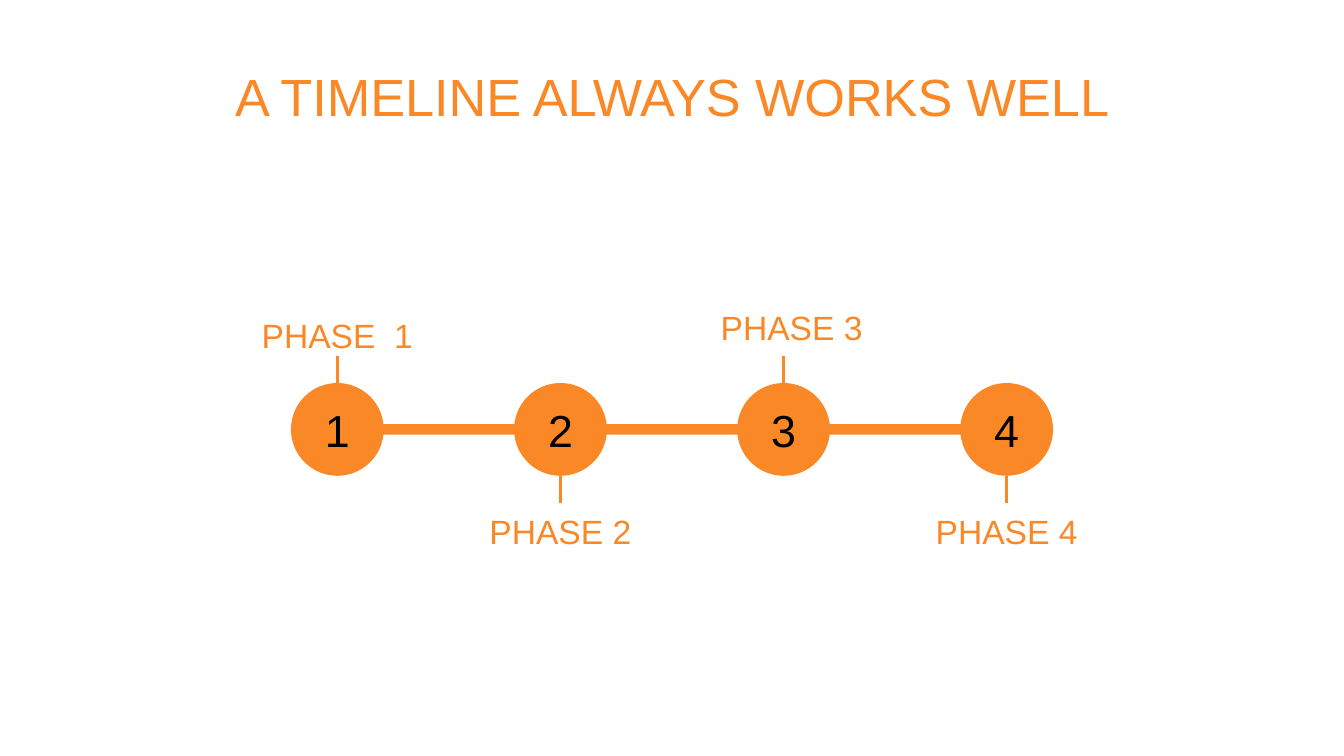
from lxml import etree
from pptx import Presentation
from pptx.dml.color import RGBColor
from pptx.enum.shapes import MSO_CONNECTOR, MSO_SHAPE
from pptx.enum.text import MSO_ANCHOR, PP_ALIGN
from pptx.oxml.ns import qn
from pptx.util import Inches, Pt

ORANGE = RGBColor(0xFB, 0x88, 0x27)
BLACK = RGBColor(0, 0, 0)
TOP, MIDDLE = MSO_ANCHOR.TOP, MSO_ANCHOR.MIDDLE
CENTER = PP_ALIGN.CENTER
OVAL, BAR = MSO_SHAPE.OVAL, MSO_SHAPE.RECTANGLE
STRAIGHT = MSO_CONNECTOR.STRAIGHT

# Content: label, label top, label shift from the circle's centre
TITLE = "A TIMELINE ALWAYS WORKS WELL"
PHASES = [
    ("PHASE  1", 2.29, 0),
    ("PHASE 2", 3.75, 0),
    ("PHASE 3", 2.23, 0.06),
    ("PHASE 4", 3.75, 0),
]

# Grid, in inches, on a 16:9 page
WIDTH = 10
HEIGHT = WIDTH * 9 / 16
STEP = 1.66
FIRST_X = (WIDTH - STEP * (len(PHASES) - 1)) / 2
DIAMETER, BAR_HEIGHT, STEM = 0.69, 0.08, 0.2
AXIS_Y = 2.85 + DIAMETER / 2
LABEL_WIDTH, LABEL_HEIGHT = 1.53, 0.41
TITLE_WIDTH, TITLE_HEIGHT = 9.32, 0.63

deck = Presentation()
deck.slide_width, deck.slide_height = Inches(WIDTH), Inches(HEIGHT)
page = deck.slides.add_slide(deck.slide_layouts[6])


def write(box, text, size, color=ORANGE, anchor=MIDDLE):
    frame = box.text_frame
    frame.word_wrap = True
    frame.vertical_anchor = anchor
    frame.margin_left = frame.margin_right = Inches(0.1)
    frame.margin_top = frame.margin_bottom = Inches(0.1)
    para = frame.paragraphs[0]
    para.alignment = CENTER
    span = para.add_run()
    span.text = text
    span.font.name = "Arial"
    span.font.size = Pt(size)
    span.font.color.rgb = color


def add_text(text, left, top, width, height, **style):
    box = page.shapes.add_textbox(*map(Inches, (left, top, width, height)))
    write(box, text, **style)


def add_solid(kind, left, top, width, height):
    shape = page.shapes.add_shape(kind, *map(Inches, (left, top, width, height)))
    shape.shadow.inherit = False
    shape.fill.solid()
    shape.fill.fore_color.rgb = ORANGE
    shape.line.fill.background()
    return shape


def add_stem(x, start, end):
    stem = page.shapes.add_connector(STRAIGHT, *map(Inches, (x, start, x, end)))
    stem.line.color.rgb = ORANGE
    stem.line.width = Pt(1.5)
    etree.SubElement(stem._element.spPr, qn("a:effectLst"))


# Timeline bar and title
bar_width = STEP * (len(PHASES) - 1) + 0.04
add_solid(BAR, (WIDTH - bar_width) / 2, AXIS_Y - BAR_HEIGHT / 2, bar_width, BAR_HEIGHT)
add_text(TITLE, (WIDTH - TITLE_WIDTH) / 2, 0.38, TITLE_WIDTH, TITLE_HEIGHT,
         size=28, anchor=TOP)

# Phases, with labels alternating above and below the bar
for index, (label, label_top, shift) in enumerate(PHASES):
    x = FIRST_X + index * STEP
    circle = add_solid(OVAL, x - DIAMETER / 2, AXIS_Y - DIAMETER / 2, DIAMETER, DIAMETER)
    write(circle, str(index + 1), size=24, color=BLACK)
    add_text(label, x + shift - LABEL_WIDTH / 2, label_top, LABEL_WIDTH, LABEL_HEIGHT,
             size=18)
    side = -1 if index % 2 == 0 else 1
    edge = AXIS_Y + side * DIAMETER / 2
    add_stem(x, edge, edge + side * STEM)

deck.save("out.pptx")
